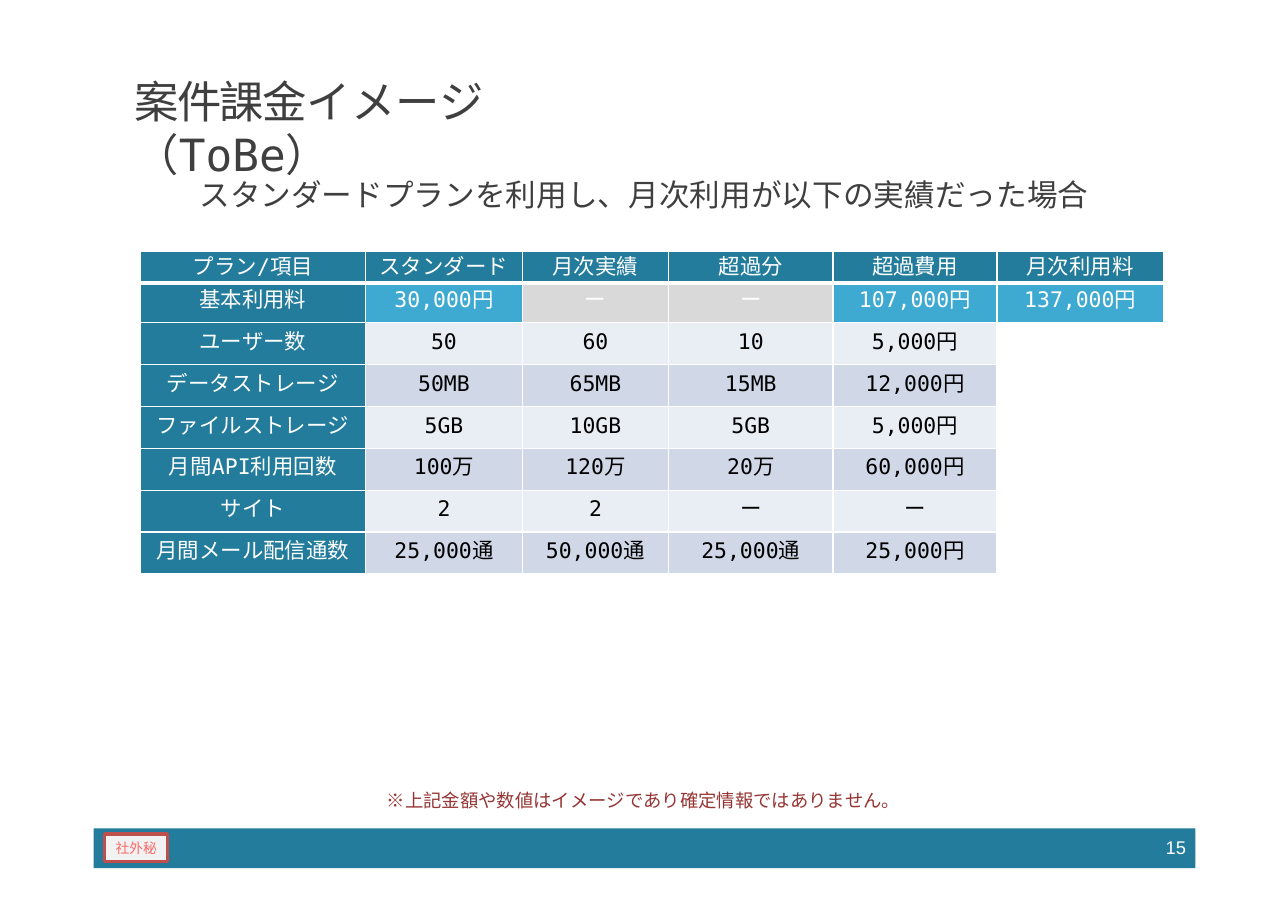
from dataclasses import dataclass

from lxml import etree
from pptx import Presentation
from pptx.dml.color import RGBColor
from pptx.enum.shapes import MSO_SHAPE
from pptx.enum.text import MSO_ANCHOR, MSO_AUTO_SIZE, PP_ALIGN
from pptx.oxml.ns import qn
from pptx.slide import Slide
from pptx.table import _Cell
from pptx.text.text import TextFrame, _Paragraph
from pptx.util import Emu, Pt

RECTANGLE = MSO_SHAPE.RECTANGLE
TOP = MSO_ANCHOR.TOP
NO_AUTOFIT = MSO_AUTO_SIZE.NONE
LEFT, CENTER = PP_ALIGN.LEFT, PP_ALIGN.CENTER

PX = 9144  # EMU per px, 100 px to the inch
MONO, SANS = "DejaVu Sans Mono", "Arial"
COLORS = {
    "teal": "237C9B", "sky": "3EAAD2", "gray": "D9D9D9",
    "band_light": "E9EDF4", "band_dark": "D0D8E8",
    "white": "FFFFFF", "black": "000000", "heading": "3F3F3F",
    "note": "953634", "label": "FC6969",
    "label_fill": "F2F2F2", "label_frame": "BF4F4D",
}


@dataclass
class Box:
    left: int
    top: int
    width: int
    height: int

    def emu(self) -> list[Emu]:
        return [Emu(v * PX) for v in (self.left, self.top, self.width, self.height)]


@dataclass
class Panel:
    box: Box
    fill: str
    frame: str = ""


@dataclass
class Caption:
    text: str
    box: Box
    size: float
    color: str
    line_pt: float = 0
    font: str = MONO


@dataclass
class Spaced:
    text: str
    spacing: float  # points between letters


PANELS = [
    Panel(Box(85, 752, 1000, 36), "teal"),
    Panel(Box(95, 757, 57, 25), "label_fill", "label_frame"),
]
CAPTIONS = [
    Caption("スタンダードプランを利用し、月次利用が以下の実績だった場合",
            Box(181, 158, 809, 36), 20, "heading"),
    Caption("※上記金額や数値はイメージであり確定情報ではありません。",
            Box(351, 717, 469, 19), 12, "note", 14),
    Caption("15", Box(1058, 760, 23, 19), 12, "white", 13.9, SANS),
    Caption("社外秘", Box(105, 762, 40, 15), 9, "label", 10.8),
]
TITLE_BOX = Box(122, 66, 427, 51)
TITLE = [
    Spaced("案件課金", -1.2), Spaced("イ", -1.3), Spaced("メ", -6.6),
    Spaced("ー", -4.5), Spaced("ジ", -3.8), Spaced("（", -10.2),
    Spaced("T", -6.2), Spaced("o", -0.6), Spaced("B", -1.6),
    Spaced("e", -0.6), Spaced("）", -14.5),
]
TABLE_BOX = Box(127, 228, 929, 291)
COLUMN_WIDTHS = [205, 142, 133, 149, 149, 151]
ROW_HEIGHTS = [29, 36] + [38] * 6
CHARGES = [
    ["プラン/項目", "スタンダード", "月次実績", "超過分", "超過費用", "月次利用料"],
    ["基本利用料", "30,000円", "ー", "ー", "107,000円", "137,000円"],
    ["ユーザー数", "50", "60", "10", "5,000円", ""],
    ["データストレージ", "50MB", "65MB", "15MB", "12,000円", ""],
    ["ファイルストレージ", "5GB", "10GB", "5GB", "5,000円", ""],
    ["月間API利用回数", "100万", "120万", "20万", "60,000円", ""],
    ["サイト", "2", "2", "ー", "ー", ""],
    ["月間メール配信通数", "25,000通", "50,000通", "25,000通", "25,000円", ""],
]


def rgb(color: str) -> RGBColor:
    return RGBColor.from_string(COLORS[color])


def style_paragraph(paragraph: _Paragraph, size: float, color: str,
                    font: str = MONO) -> None:
    paragraph.font.name = font
    paragraph.font.size = Pt(size)
    paragraph.font.color.rgb = rgb(color)
    east_asian = etree.SubElement(paragraph.font._element, qn("a:ea"))
    east_asian.set("typeface", font)


def prepare_frame(frame: TextFrame) -> None:
    frame.margin_left = frame.margin_right = 0
    frame.margin_top = frame.margin_bottom = 0
    frame.vertical_anchor = TOP
    frame.auto_size = NO_AUTOFIT
    frame.word_wrap = True


def draw_panel(slide: Slide, panel: Panel) -> None:
    shape = slide.shapes.add_shape(RECTANGLE, *panel.box.emu())
    shape.shadow.inherit = False
    shape.fill.solid()
    shape.fill.fore_color.rgb = rgb(panel.fill)
    if panel.frame:
        shape.line.color.rgb = rgb(panel.frame)
        shape.line.width = Pt(2)
    else:
        shape.line.fill.background()


def draw_caption(slide: Slide, caption: Caption) -> None:
    frame = slide.shapes.add_textbox(*caption.box.emu()).text_frame
    prepare_frame(frame)
    paragraph = frame.paragraphs[0]
    paragraph.text = caption.text
    if caption.line_pt:
        paragraph.line_spacing = Pt(caption.line_pt)
    else:
        frame.margin_top = Emu(2 * PX)
    style_paragraph(paragraph, caption.size, caption.color, caption.font)


def draw_title(slide: Slide) -> None:
    title = slide.shapes.title
    title.left, title.top, title.width, title.height = TITLE_BOX.emu()
    prepare_frame(title.text_frame)
    title.text_frame.margin_top = Emu(PX)
    paragraph = title.text_frame.paragraphs[0]
    paragraph.alignment = LEFT
    paragraph.space_before = Pt(1.1)
    style_paragraph(paragraph, 29, "heading")
    for part in TITLE:
        run = paragraph.add_run()
        run.text = part.text
        run.font._element.set("spc", str(round(part.spacing * 100)))


def cell_fill(row: int, column: int) -> str:
    if row == 0 or column == 0:
        return "teal"
    if row == 1:
        return "gray" if column in (2, 3) else "sky"
    return "band_dark" if row % 2 else "band_light"


def set_borders(cell: _Cell, row: int) -> None:
    widths = {"L": 1, "R": 1, "T": 3 if row == 1 else 1, "B": 3 if row == 0 else 1}
    properties = cell._tc.get_or_add_tcPr()
    for side, width in widths.items():
        line = etree.SubElement(properties, qn(f"a:ln{side}"), w=str(Pt(width)))
        solid = etree.SubElement(line, qn("a:solidFill"))
        etree.SubElement(solid, qn("a:srgbClr"), val=COLORS["white"])


def fill_cell(cell: _Cell, text: str, row: int, column: int) -> None:
    set_borders(cell, row)
    cell.margin_left = cell.margin_right = cell.margin_bottom = 0
    cell.margin_top = Emu((3, 4, 6)[min(row, 2)] * PX)
    cell.vertical_anchor = TOP
    paragraph = cell.text_frame.paragraphs[0]
    paragraph.alignment = CENTER
    paragraph.space_before = Pt((2, 3.2, 4.2)[min(row, 2)])
    style_paragraph(paragraph, 14, "white" if row < 2 or column == 0 else "black")
    if text:
        paragraph.text = text
        cell.fill.solid()
        cell.fill.fore_color.rgb = rgb(cell_fill(row, column))
    else:
        cell.fill.background()


def draw_charges(slide: Slide) -> None:
    charges = slide.shapes.add_table(
        len(ROW_HEIGHTS), len(COLUMN_WIDTHS), *TABLE_BOX.emu()).table
    charges.horz_banding = False
    for column, width in zip(charges.columns, COLUMN_WIDTHS):
        column.width = Emu(width * PX)
    for row, height in zip(charges.rows, ROW_HEIGHTS):
        row.height = Emu(height * PX)
    for r, texts in enumerate(CHARGES):
        for c, text in enumerate(texts):
            fill_cell(charges.cell(r, c), text, r, c)


def main() -> None:
    deck = Presentation()
    deck.slide_width, deck.slide_height = Emu(1169 * PX), Emu(826 * PX)
    slide = deck.slides.add_slide(deck.slide_layouts[5])
    # Footer bar and confidentiality label
    for panel in PANELS:
        draw_panel(slide, panel)
    # Title, subtitle, note and footer texts
    draw_title(slide)
    for caption in CAPTIONS:
        draw_caption(slide, caption)
    # Charges by plan item
    draw_charges(slide)
    deck.save("out.pptx")


if __name__ == "__main__":
    main()
